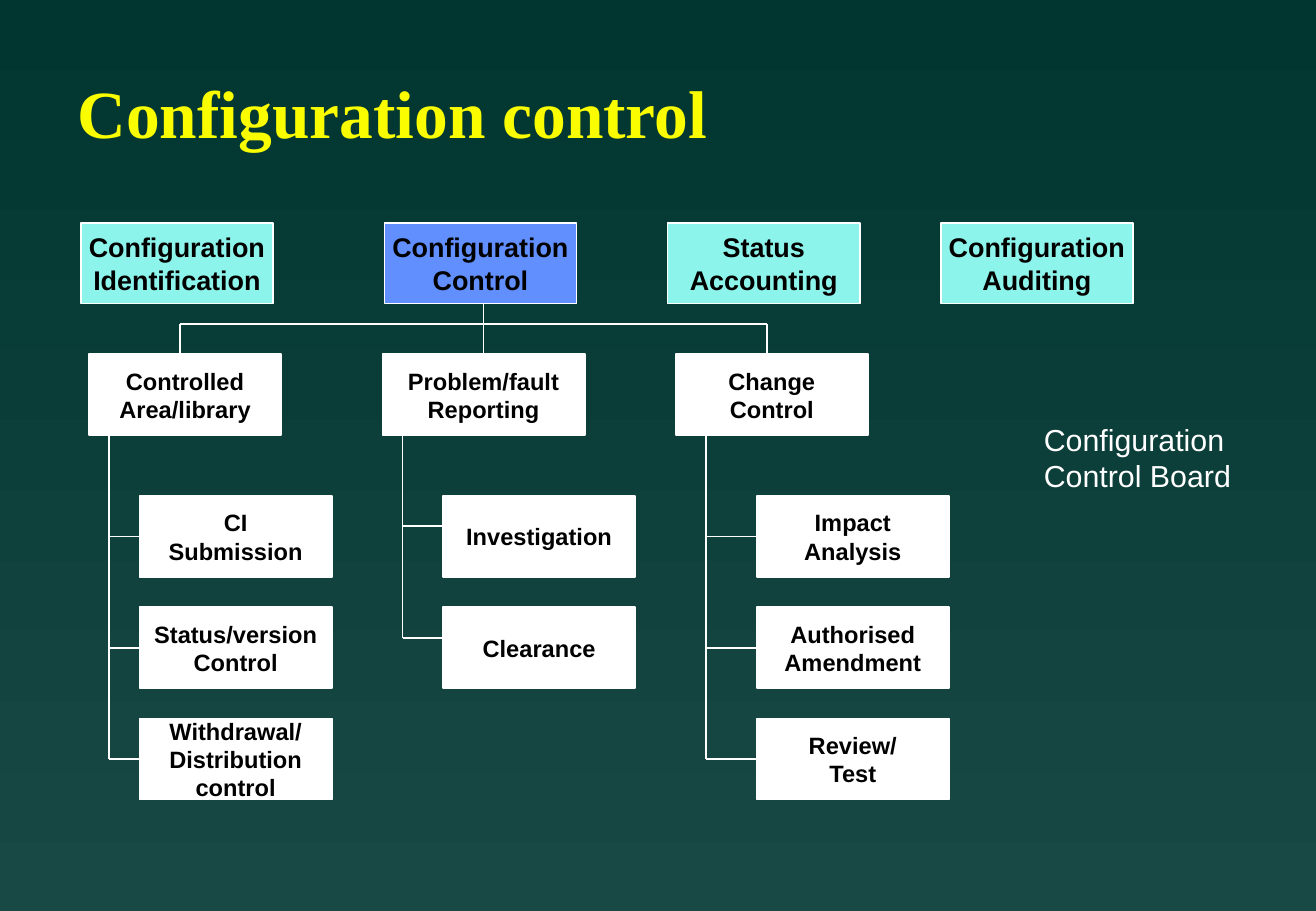
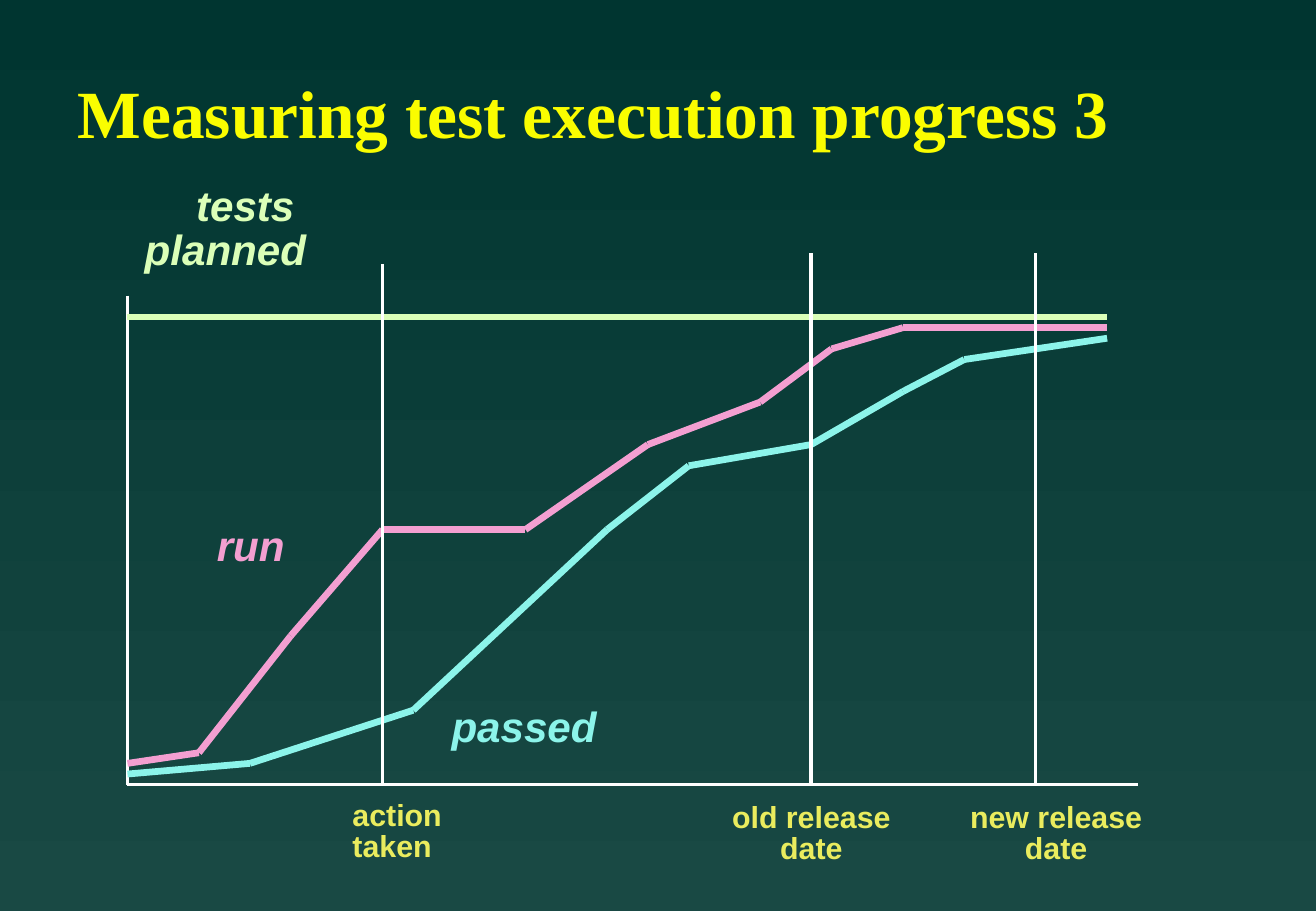
import itertools

import pptx
import pptx.dml.color
import pptx.enum.shapes
import pptx.enum.text
import pptx.oxml.ns
import pptx.util
from lxml import etree

COLORS = {
    "top": "003530",
    "bottom": "194944",
    "title": "FAFD00",
    "white": "FFFFFF",
    "black": "000000",
    "aqua": "8CF4EA",
    "blue": "618FFD",
    "pink": "F39FD1",
    "lime": "DBFFB8",
    "date": "EAEC5E",
}
ALIGN = pptx.enum.text.PP_ALIGN
ANCHOR = pptx.enum.text.MSO_ANCHOR

CELL = 1 / 12
BOX_WIDTH, BOX_HEIGHT = 19, 8
HEADER_ROW, BUS_ROW, BRANCH_ROW = 22, 32, 35
LEAF_ROW, LEAF_STEP = 49, 11

PLOT_LEFT, PLOT_BASE = 1.05, 6.46
PLOT_COLUMN, PLOT_ROW = 8.07 / 96, 3.85 / 44

HEADERS = [
    (8, "Configuration\nIdentification", "aqua"),
    (38, "Configuration\nControl", "blue"),
    (66, "Status\nAccounting", "aqua"),
    (93, "Configuration\nAuditing", "aqua"),
]
BRANCHES = [
    {"left": 8.8, "width": 19, "text": "Controlled\nArea/library",
     "drop": 17.8, "trunk": 10.8, "leaf_left": 13.8, "tick": 4,
     "leaves": ["CI\nSubmission", "Status/version\nControl",
                "Withdrawal/\nDistribution\ncontrol"]},
    {"left": 37.8, "width": 20, "text": "Problem/fault\nReporting",
     "drop": 47.8, "trunk": 39.8, "leaf_left": 43.8, "tick": 3,
     "leaves": ["Investigation", "Clearance"]},
    {"left": 66.8, "width": 19, "text": "Change\nControl",
     "drop": 75.8, "trunk": 69.8, "leaf_left": 74.8, "tick": 4,
     "leaves": ["Impact\nAnalysis", "Authorised\nAmendment", "Review/\nTest"]},
]

AXES = [[(0, 46), (0, 0)], [(0, 0), (99, 0)]]
CURVES = [
    ("pink", [(0, 2), (7, 3), (16, 14), (25, 24), (39, 24), (51, 32),
              (62, 36), (69, 41), (76, 43), (96, 43)]),
    ("aqua", [(0, 1), (12, 2), (28, 7), (47, 24), (55, 30), (67, 32),
              (76, 37), (82, 40), (96, 42)]),
    ("lime", [(0, 44), (96, 44)]),
]
MARKERS = [(25, 49), (67, 50), (89, 50)]
CURVE_LABELS = [
    ((12.1, 18.1, 19, 9.4), "tests \nplanned", "lime", ALIGN.RIGHT),
    ((20.6, 51.6, 8.4, 5), "run", "pink", ALIGN.LEFT),
    ((43.8, 69.5, 16.1, 5), "passed", "aqua", ALIGN.LEFT),
]
DATE_LABELS = [
    ((34, 78.8, 10.6, 6.8), "action\ntaken", ALIGN.LEFT),
    ((71.5, 79, 17.4, 6.8), "old release\ndate", ALIGN.CENTER),
    ((95, 79, 18.8, 6.8), "new release\ndate", ALIGN.CENTER),
]


def rgb(name):
    return pptx.dml.color.RGBColor.from_string(COLORS[name])


def cells(*counts):
    return [pptx.util.Inches(count * CELL) for count in counts]


def plot_point(column, row):
    return [pptx.util.Inches(PLOT_LEFT + column * PLOT_COLUMN),
            pptx.util.Inches(PLOT_BASE - row * PLOT_ROW)]


def write(shape, text, size, color, align=ALIGN.LEFT, anchor=ANCHOR.TOP,
          font="Arial", bold=True, italic=False, spacing=None, wrap=False):
    frame = shape.text_frame
    frame.text = text
    frame.word_wrap = wrap
    frame.vertical_anchor = anchor
    for para in frame.paragraphs:
        para.alignment = align
        para.line_spacing = spacing
        para.font.name = font
        para.font.size = pptx.util.Pt(size)
        para.font.bold = bold
        para.font.italic = italic
        para.font.color.rgb = rgb(color)


def add_title(page, text):
    box = page.shapes.add_textbox(*cells(6.5, 7, 110.5, 8))
    write(box, text, 40, "title", anchor=ANCHOR.MIDDLE,
          font="Times New Roman", wrap=True)


def add_label(page, place, text, size, color, inset=None, **style):
    box = page.shapes.add_textbox(*cells(*place))
    write(box, text, size, color, **style)
    frame = box.text_frame
    frame.auto_size = pptx.enum.text.MSO_AUTO_SIZE.SHAPE_TO_FIT_TEXT
    if inset:
        frame.margin_left = frame.margin_right = pptx.util.Inches(inset[0])
        frame.margin_top = frame.margin_bottom = pptx.util.Inches(inset[1])


def add_box(page, left, top, text, fill="white", size=14, width=BOX_WIDTH):
    box = page.shapes.add_shape(pptx.enum.shapes.MSO_SHAPE.RECTANGLE,
                                *cells(left, top, width, BOX_HEIGHT))
    box.shadow.inherit = False
    box.fill.solid()
    box.fill.fore_color.rgb = rgb(fill)
    box.line.color.rgb = rgb("white")
    box.line.width = pptx.util.Pt(1)
    write(box, text, size, "black", ALIGN.CENTER, ANCHOR.MIDDLE)


def add_line(page, start, end, color="white", width=1):
    line = page.shapes.add_connector(
        pptx.enum.shapes.MSO_CONNECTOR.STRAIGHT, *start, *end)
    line.line.color.rgb = rgb(color)
    line.line.width = pptx.util.Pt(width)
    properties = line._element.spPr
    etree.SubElement(properties, pptx.oxml.ns.qn("a:effectLst"))


def add_plot_line(page, points, color, width):
    for start, end in itertools.pairwise(points):
        add_line(page, plot_point(*start), plot_point(*end), color, width)


def add_branch(page, branch):
    add_line(page, cells(branch["drop"], BUS_ROW),
             cells(branch["drop"], BRANCH_ROW))
    add_box(page, branch["left"], BRANCH_ROW, branch["text"],
            width=branch["width"])
    for index, text in enumerate(branch["leaves"]):
        top = LEAF_ROW + index * LEAF_STEP
        tick = top + branch["tick"]
        add_line(page, cells(branch["trunk"], tick),
                 cells(branch["leaf_left"], tick))
        add_box(page, branch["leaf_left"], top, text)
    add_line(page, cells(branch["trunk"], BRANCH_ROW + BOX_HEIGHT),
             cells(branch["trunk"], tick))


def build_control_tree(page):
    add_title(page, "Configuration control")
    drops = [branch["drop"] for branch in BRANCHES]
    add_line(page, cells(drops[0], BUS_ROW), cells(drops[-1], BUS_ROW))
    add_line(page, cells(drops[1], HEADER_ROW + BOX_HEIGHT),
             cells(drops[1], BUS_ROW))
    for branch in BRANCHES:
        add_branch(page, branch)
    for left, text, fill in HEADERS:
        add_box(page, left, HEADER_ROW, text, fill, size=16)
    add_label(page, (102, 41, 20.9, 8.4), "Configuration\nControl Board",
              18, "white", bold=False)


def build_progress_plot(page):
    add_title(page, "Measuring test execution progress 3")
    for points in AXES:
        add_plot_line(page, points, "white", 2)
    for color, points in CURVES:
        add_plot_line(page, points, color, 4)
    for column, height in MARKERS:
        add_plot_line(page, [(column, height), (column, 0)], "white", 2)
    inset = (0.07, 0.03)
    for place, text, color, align in CURVE_LABELS:
        add_label(page, place, text, 25, color, inset, align=align,
                  italic=True, spacing=0.87)
    for place, text, align in DATE_LABELS:
        add_label(page, place, text, 18, "date", inset, align=align,
                  spacing=0.85)


def set_background(master):
    fill = master.background.fill
    fill.gradient()
    fill.gradient_angle = 270
    for stop, color in zip(fill.gradient_stops, ("top", "bottom")):
        stop.color.rgb = rgb(color)


def main():
    deck = pptx.Presentation()
    deck.slide_width = pptx.util.Inches(10.84)
    deck.slide_height = pptx.util.Inches(7.5)
    set_background(deck.slide_master)
    blank = deck.slide_layouts[6]
    for build in (build_control_tree, build_progress_plot):
        build(deck.slides.add_slide(blank))
    deck.save("out.pptx")


if __name__ == "__main__":
    main()
